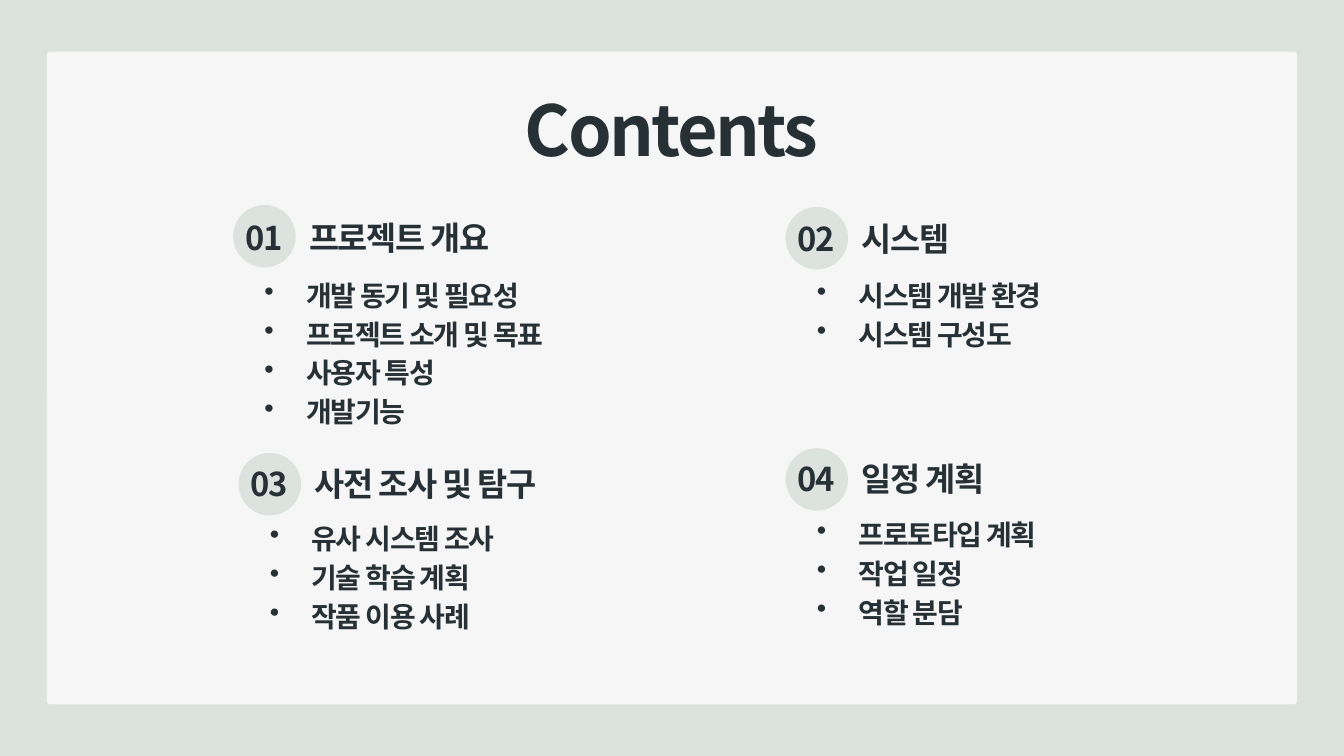
import pptx
import pptx.dml.color
import pptx.enum.shapes
import pptx.enum.text
import pptx.oxml
import pptx.oxml.ns
import pptx.util

COLORS = {"back": "DCE2DE", "panel": "F6F6F6", "ink": "263035", "edge": "000000"}
FACE = "Noto Sans CJK KR"
COLS, ROWS = 20, 11.25
CELL = pptx.util.Inches(1)
DOT, INDENT, TAB, LEAD = 0.93, 0.62, 0.95, 41.7
SHAPE = pptx.enum.shapes.MSO_SHAPE
ALIGN = pptx.enum.text.PP_ALIGN

# left, dot top, head top, list top, list edge, head, items
PARTS = [
    (3.47, 3.05, 3.25, 4.06, True, "01\t프로젝트 개요",
     ["개발 동기 및 필요성", "프로젝트 소개 및 목표", "사용자 특성", "개발기능"]),
    (11.69, 3.08, 3.26, 4.06, False, "02\t시스템",
     ["시스템 개발 환경", "시스템 구성도"]),
    (3.55, 6.74, 6.91, 7.68, True, "03\t사전 조사 및 탐구",
     ["유사 시스템 조사", "기술 학습 계획", "작품 이용 사례"]),
    (11.69, 6.67, 6.83, 7.62, False, "04\t일정 계획",
     ["프로토타입 계획", "작업 일정", "역할 분담"]),
]


def grid(*cells):
    return [round(cell * CELL) for cell in cells]


def tint(name):
    return pptx.dml.color.RGBColor.from_string(COLORS[name])


def node(xml):
    return pptx.oxml.parse_xml(xml.replace(" ", f" {pptx.oxml.ns.nsdecls('a')} ", 1))


def add_form(slide, kind, box, color):
    form = slide.shapes.add_shape(kind, *grid(*box))
    form.shadow.inherit = False
    form.fill.solid()
    form.fill.fore_color.rgb = tint(color)
    form.line.fill.background()
    return form


def style_run(run, size, space, edge):
    look = {"name": FACE, "size": pptx.util.Pt(size), "bold": True}
    for key, value in look.items():
        setattr(run.font, key, value)
    run.font.color.rgb = tint("ink")
    props = run._r.get_or_add_rPr()
    props.set("spc", str(round(space * 100)))
    props.append(node(f'<a:ea typeface="{FACE}"/>'))
    if edge:
        props.insert(0, node(
            f'<a:ln w="9525"><a:solidFill><a:srgbClr val="{COLORS["edge"]}">'
            '<a:alpha val="20000"/></a:srgbClr></a:solidFill>'
            '<a:prstDash val="solid"/></a:ln>'))


def add_text(slide, box, lines, size, lead=LEAD, space=-1.3, edge=False,
             align=ALIGN.LEFT, hang=0, extra=None):
    frame = slide.shapes.add_textbox(*grid(*box)).text_frame
    look = {"margin_left": 0, "margin_top": 0, "margin_right": 0, "margin_bottom": 0,
            "word_wrap": True,
            "auto_size": pptx.enum.text.MSO_AUTO_SIZE.SHAPE_TO_FIT_TEXT}
    for key, value in look.items():
        setattr(frame, key, value)
    for count, line in enumerate(lines):
        para = frame.add_paragraph() if count else frame.paragraphs[0]
        para.alignment = align
        para.line_spacing = pptx.util.Pt(lead)
        run = para.add_run()
        run.text = line
        style_run(run, size, space, edge)
        if hang:
            props = para._p.get_or_add_pPr()
            width = grid(hang)[0]
            props.set("marL", str(width))
            props.set("indent", str(-width))
            props.append(node(extra))


def add_part(slide, left, top, head, body, edge, title, items):
    add_form(slide, SHAPE.OVAL, (left, top, DOT, DOT), "back")
    stop = f'<a:tabLst ><a:tab pos="{grid(TAB)[0]}" algn="l"/></a:tabLst>'
    add_text(slide, (left + 0.18, head, 4.81, 0.6), [title], 35.1,
             edge=True, hang=TAB, extra=stop)
    add_text(slide, (left + DOT / 2, body, 5.65, 0.58 * len(items)), items, 30,
             edge=edge, hang=INDENT, extra='<a:buChar char="•"/>')


def main():
    deck = pptx.Presentation()
    deck.slide_width, deck.slide_height = grid(COLS, ROWS)
    slide = deck.slides.add_slide(deck.slide_layouts[6])
    slide.background.fill.solid()
    slide.background.fill.fore_color.rgb = tint("back")
    panel = add_form(slide, SHAPE.ROUNDED_RECTANGLE, (0.7, 0.77, COLS - 1.4, 9.71), "panel")
    panel.adjustments[0] = 0.004
    add_text(slide, (7.05, 1.3, 5.89, 1.28), ["Contents"], 75,
             lead=89.2, space=-2.7, align=ALIGN.CENTER)
    for part in PARTS:
        add_part(slide, *part)
    deck.save("out.pptx")


if __name__ == "__main__":
    main()
